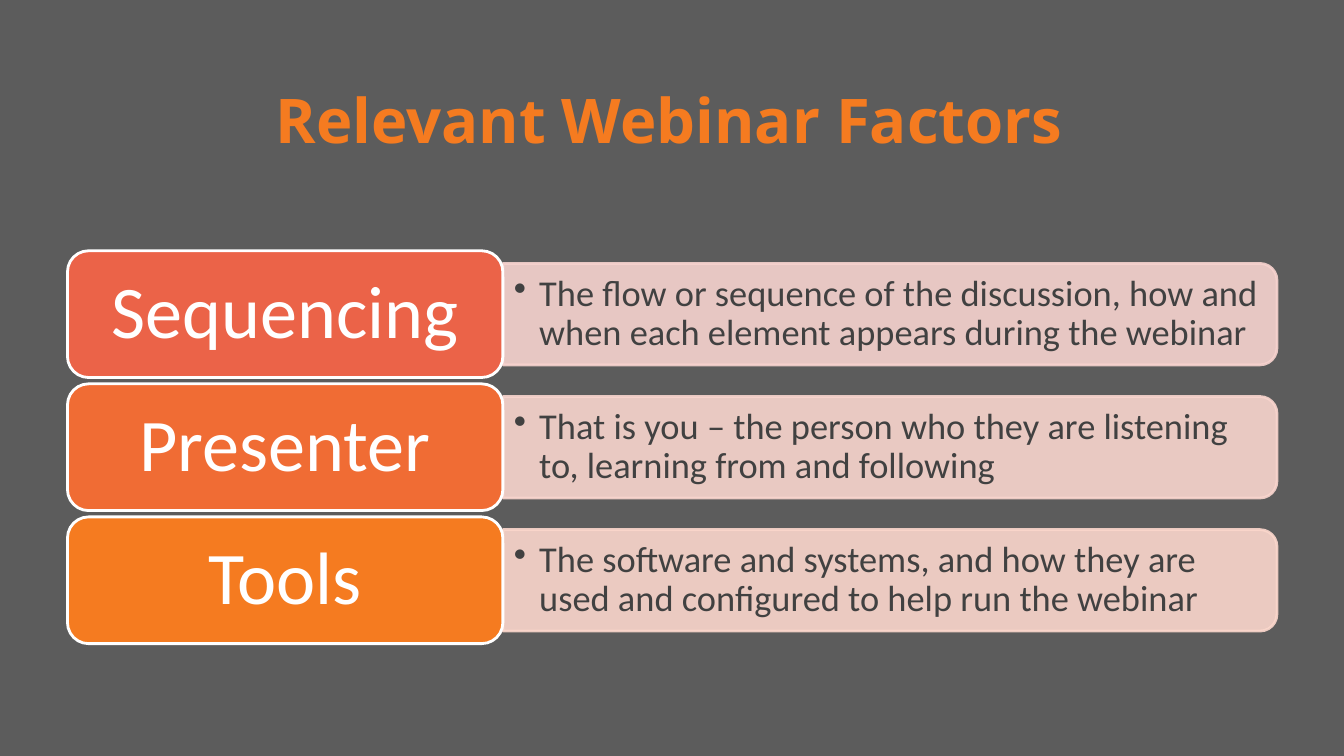
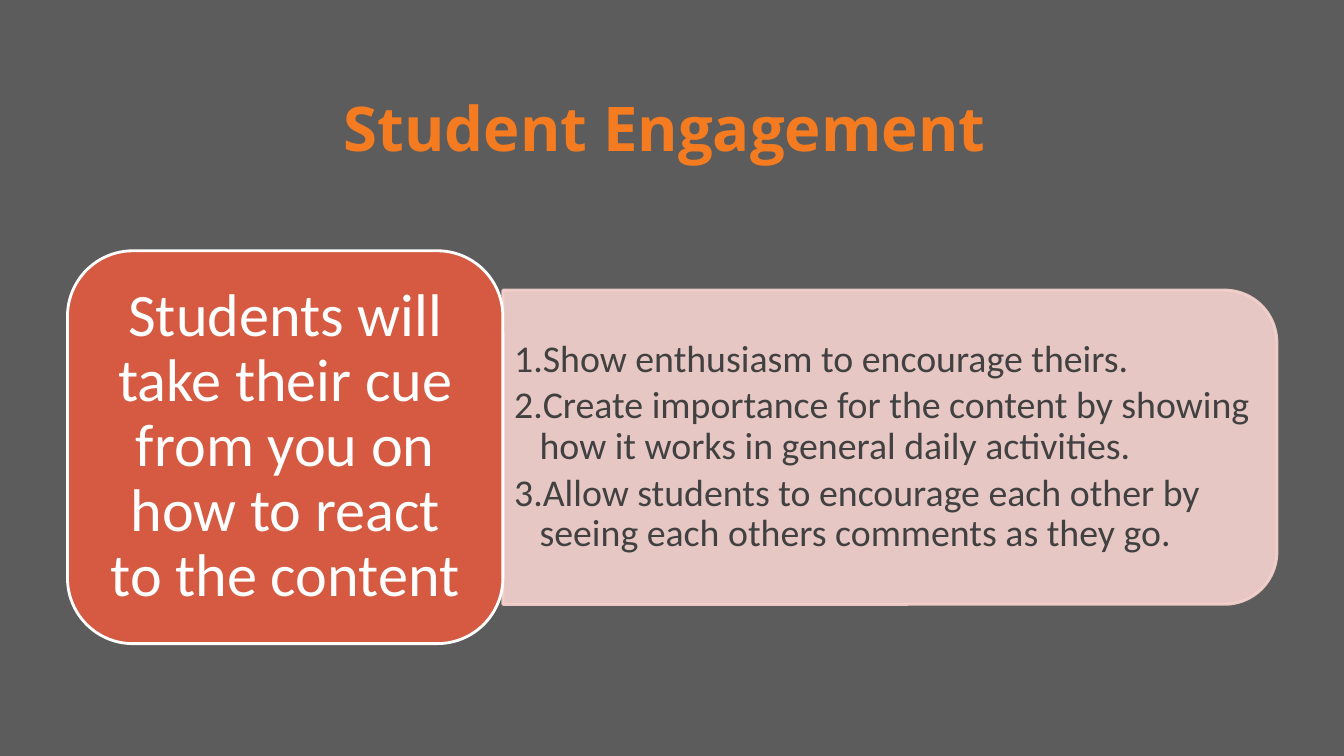
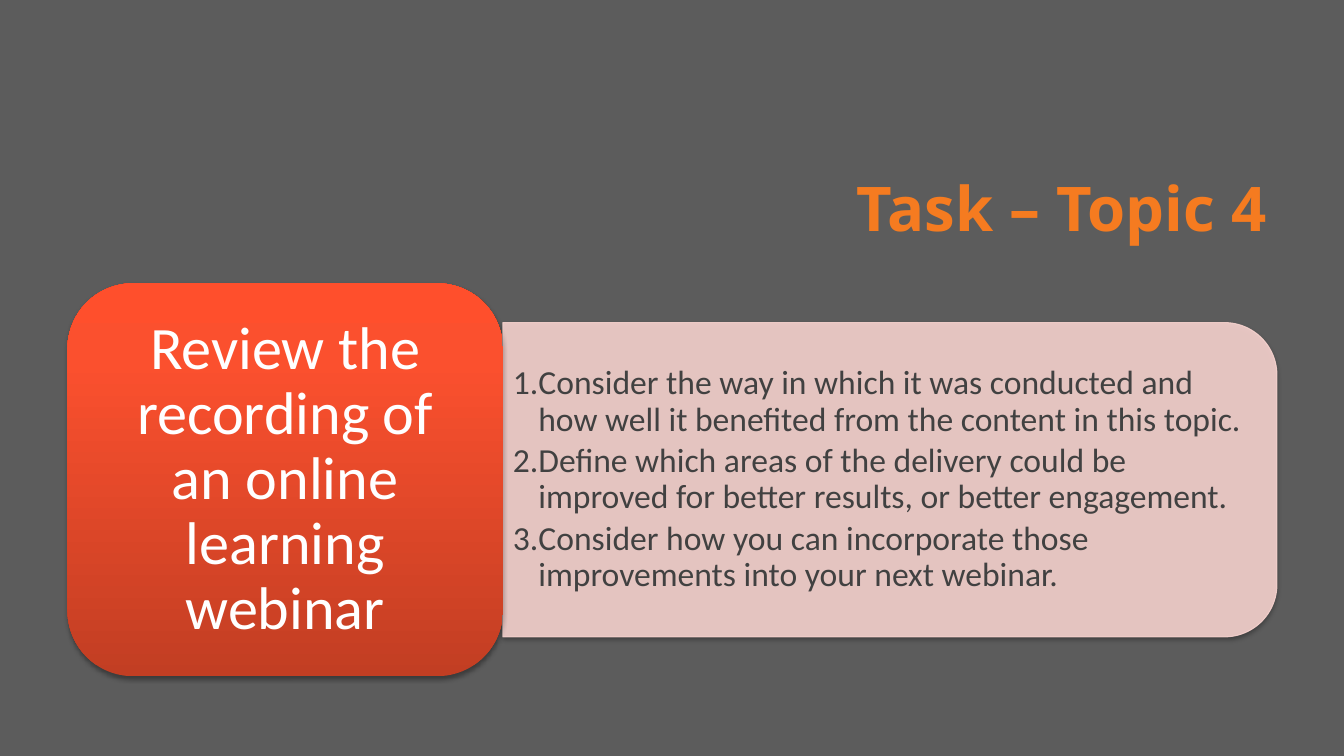
import pptx
import pptx.util
import pptx.dml.color
import pptx.enum.shapes
import pptx.enum.text
import pptx.oxml
import pptx.oxml.ns

Cm = pptx.util.Cm
Pt = pptx.util.Pt
Shape = pptx.enum.shapes.MSO_SHAPE
Align = pptx.enum.text.PP_ALIGN
NS = pptx.oxml.ns.nsdecls("a")
qn = pptx.oxml.ns.qn

BACK, ACCENT, DARK, WHITE = "5C5C5C", "F57B20", "414141", "FFFFFF"
HEAD, BODY = "Open Sans", "Calibri"
BULLET = '<a:buChar {} char="•"/>'
NUMBER = '<a:buAutoNum {} type="arabicPeriod"/>'
LEFT, WIDE, HIGH = 1.7, 30.48, 9.9
LABEL = 0.36
PANEL = 0.8
GAP = 0.05
CORNER = 0.05
INDENT = 0.64


def color(code):
    """Turn a hex string into a colour."""
    return pptx.dml.color.RGBColor.from_string(code)


def node(text):
    """Parse drawing markup that holds one slot for the namespace."""
    return pptx.oxml.parse_xml(text.replace("{}", NS, 1))


def fade(fill):
    """Make a solid fill 90 percent opaque."""
    tint = fill._xPr.find(qn("a:solidFill"))[0]
    tint.append(node('<a:alpha {} val="90000"/>'))


def shade(shape):
    """Give a shape a soft shadow straight below it."""
    shape._element.spPr.find(qn("a:effectLst")).append(node(
        f'<a:outerShdw {{}} blurRad="{Pt(3.1)}" dist="{Pt(1.8)}" dir="5400000">'
        '<a:srgbClr val="000000"><a:alpha val="35000"/></a:srgbClr></a:outerShdw>'))


def blend(shape, stops):
    """Fill a shape with colour stops that run from bottom to top."""
    shape.fill.gradient()
    shape.fill.gradient_angle = 90
    marks = shape._element.spPr.find(qn("a:gradFill")).find(qn("a:gsLst"))
    for mark in list(marks):
        marks.remove(mark)
    for place, code in stops:
        marks.append(node(f'<a:gs {{}} pos="{place * 1000}"><a:srgbClr val="{code}"/></a:gs>'))


def outline(shape, code, width):
    """Draw a solid line round a shape."""
    shape.line.color.rgb = color(code)
    shape.line.width = Pt(width)


def write(shape, lines, size, code, after=0.0, align=Align.LEFT, face=BODY):
    """Write paragraphs in the middle of a shape and format them."""
    frame = shape.text_frame
    frame.word_wrap = True
    frame.vertical_anchor = pptx.enum.text.MSO_ANCHOR.MIDDLE
    frame.margin_left = frame.margin_right = Pt(size * 0.3)
    frame.margin_top = frame.margin_bottom = Pt(size * 0.15)
    frame.text = "\n".join(lines)
    for para in frame.paragraphs:
        para.alignment = align
        para.line_spacing = 0.9
        para.space_after = Pt(size * after)
        font = para.runs[0].font
        font.name, font.size = face, Pt(size)
        font.color.rgb = color(code)
    return frame.paragraphs


def title(slide, text, left, top, align=Align.CENTER):
    """Place the slide title."""
    box = slide.shapes.add_textbox(Cm(left), Cm(top), Cm(WIDE), Cm(3.18))
    run = write(box, [text], 44, ACCENT, align=align, face=HEAD)[0].runs[0]
    box.text_frame.margin_left = box.text_frame.margin_right = Cm(0.25)
    run.font.bold = True
    run.font._element.insert(0, node(
        f'<a:ln {{}} w="{Pt(0.75)}"><a:solidFill><a:srgbClr val="{DARK}"/></a:solidFill></a:ln>'))


def panel(slide, box, lines, size, code, mark, raised):
    """Place the pale panel, rounded on the right, with its list."""
    left, top, wide, high = box
    shape = slide.shapes.add_shape(
        Shape.ROUND_2_SAME_RECTANGLE, Cm(left + (wide - high) / 2),
        Cm(top + (high - wide) / 2), Cm(high), Cm(wide))
    shape.rotation = 90
    shape.shadow.inherit = False
    shape.fill.solid()
    shape.fill.fore_color.rgb = color(code)
    outline(shape, code, 0.75 if raised else 2)
    fade(shape.fill)
    fade(shape.line.fill)
    if raised:
        shade(shape)
    edge = high * CORNER
    area = slide.shapes.add_textbox(
        Cm(left), Cm(top + edge), Cm(wide - edge), Cm(high - 2 * edge))
    for para in write(area, lines, size, DARK, 0.15):
        para.level = 1
        props = para._p.get_or_add_pPr()
        props.set("marL", str(Cm(INDENT)))
        props.set("indent", str(-Cm(INDENT)))
        props.append(node(mark))


def label(slide, box, text, size, fill, raised):
    """Place the strong rounded label."""
    shape = slide.shapes.add_shape(Shape.ROUNDED_RECTANGLE, *map(Cm, box))
    shape.shadow.inherit = False
    if raised:
        blend(shape, fill)
        shape.line.fill.background()
        shade(shape)
    else:
        shape.fill.solid()
        shape.fill.fore_color.rgb = color(fill)
        outline(shape, WHITE, 2)
    write(shape, [text], size, WHITE, 0.35, Align.CENTER)


def rows(slide, box, items, sizes, mark, raised=False):
    """Stack rows, each a label with a panel to its right."""
    left, top, wide, high = box
    count = len(items)
    tall = high / (count + GAP * (count - 1))
    split = wide * LABEL
    for index, (name, fill, pale, lines) in enumerate(items):
        start = top + index * tall * (1 + GAP)
        side = (left + split, start + tall * (1 - PANEL) / 2, wide - split, tall * PANEL)
        panel(slide, side, lines, sizes[1], pale, mark, raised)
        label(slide, (left, start, split, tall), name, sizes[0], fill, raised)


def page(deck):
    """Add a blank slide with the dark ground."""
    slide = deck.slides.add_slide(deck.slide_layouts[6])
    slide.background.fill.solid()
    slide.background.fill.fore_color.rgb = color(BACK)
    return slide


def factors(deck):
    """Build the slide on webinar factors."""
    slide = page(deck)
    title(slide, "Relevant Webinar Factors", 1.63, 1.52)
    rows(slide, (LEFT, 6.32, WIDE, HIGH), [
        ("Sequencing", "EB6348", "F7D3CF",
         ["The flow or sequence of the discussion, how and when each element "
          "appears during the webinar"]),
        ("Presenter", "F06C34", "F9D5CE",
         ["That is you – the person who they are listening to, learning from and following"]),
        ("Tools", "F57B20", "FBD7CC",
         ["The software and systems, and how they are used and configured "
          "to help run the webinar"]),
    ], (53, 26), BULLET)


def engage(deck):
    """Build the slide on student engagement."""
    slide = page(deck)
    title(slide, "Student Engagement", 1.52, 1.73)
    rows(slide, (LEFT, 6.32, WIDE, HIGH), [
        ("Students will take their cue from you on how to react to the content",
         "D55A41", "F7D3CF",
         ["Show enthusiasm to encourage theirs.",
          "Create importance for the content by showing how it works in general "
          "daily activities.",
          "Allow students to encourage each other by seeing each others comments "
          "as they go."]),
    ], (43, 27), NUMBER)


def task(deck):
    """Build the slide with the task."""
    slide = page(deck)
    title(slide, "Task – Topic 4", LEFT, 3.73, Align.RIGHT)
    rows(slide, (LEFT, 7.14, WIDE, HIGH), [
        ("Review the recording of an online learning webinar",
         [(0, "C23E23"), (80, "FB502E"), (100, "FF4F2C")], "F7D3CF",
         ["Consider the way in which it was conducted and how well it benefited "
          "from the content in this topic.",
          "Define which areas of the delivery could be improved for better results, "
          "or better engagement.",
          "Consider how you can incorporate those improvements into your next webinar."]),
    ], (43, 24), NUMBER, raised=True)


deck = pptx.Presentation()
deck.slide_width, deck.slide_height = Cm(33.87), Cm(19.05)
for build in (factors, engage, task):
    build(deck)
deck.save("out.pptx")
